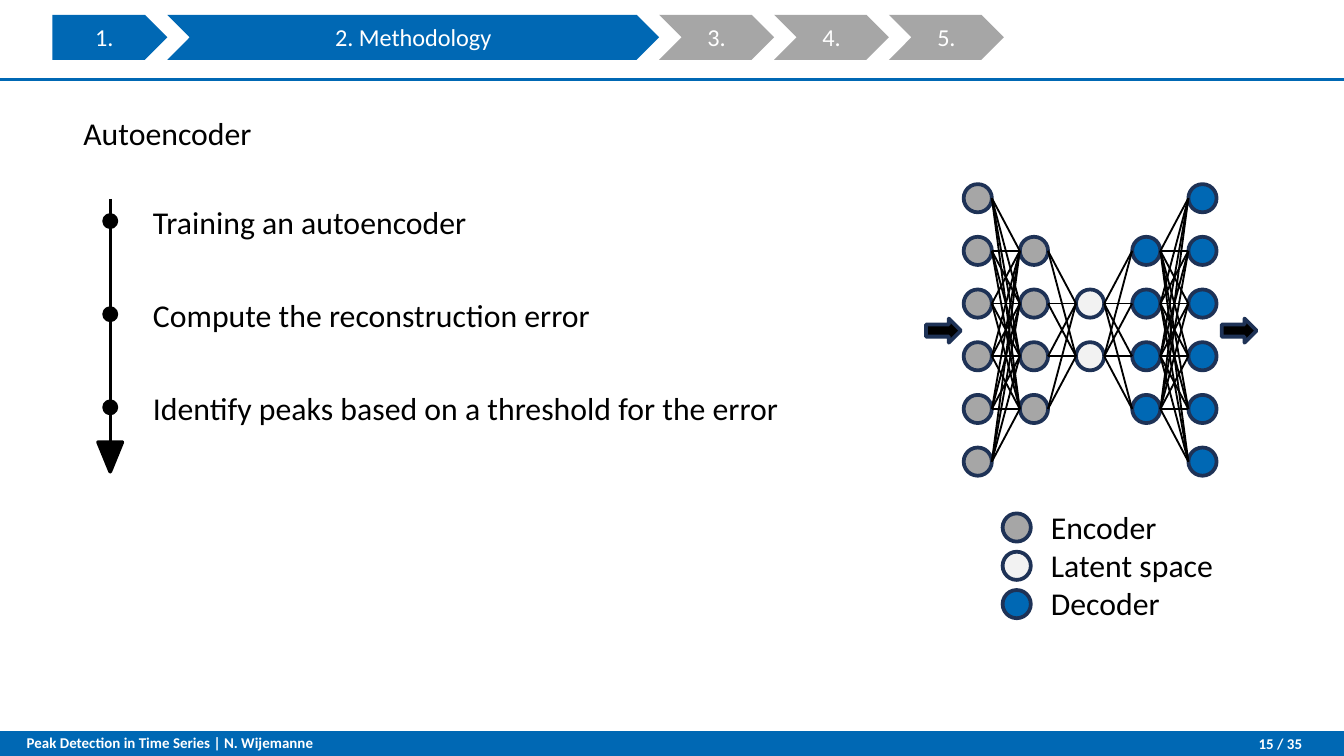
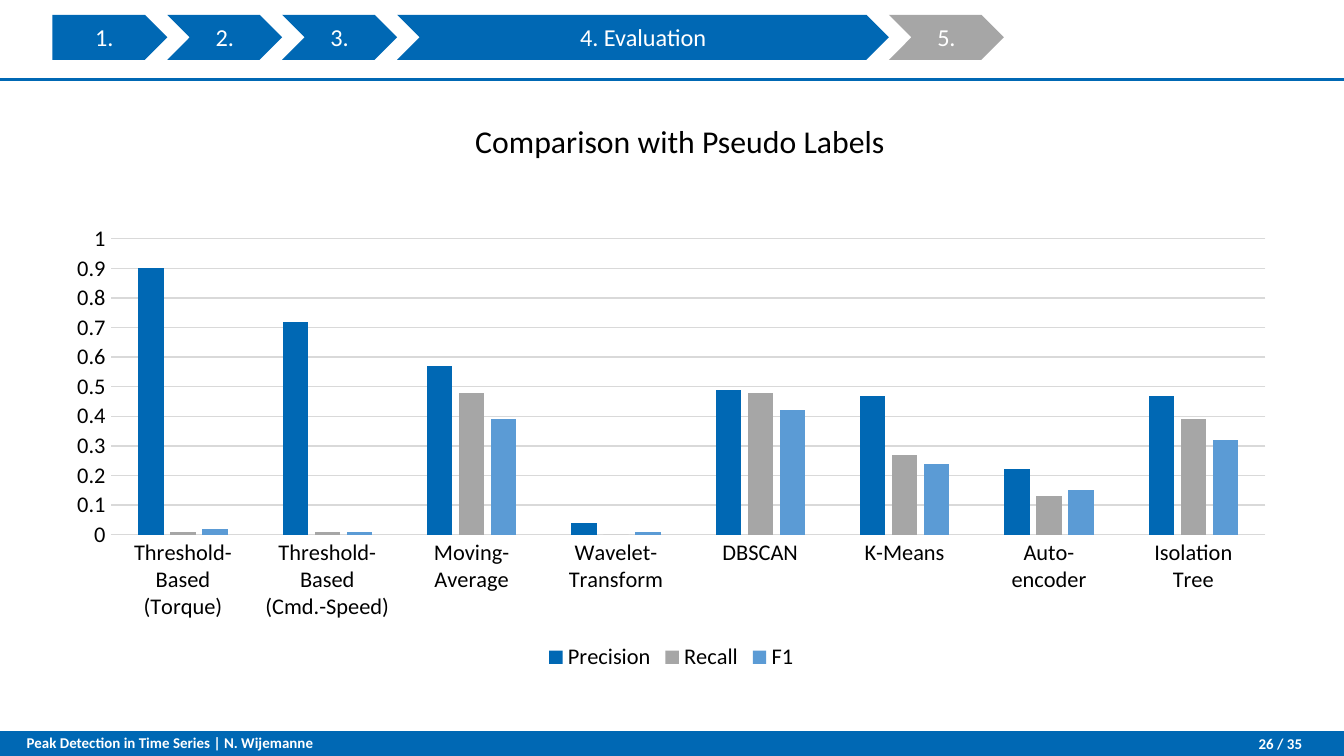
from lxml import etree
from pptx import Presentation
from pptx import util as u
from pptx.chart.data import CategoryChartData
from pptx.dml.color import RGBColor
from pptx.enum import chart as ch, shapes, text

rgb = RGBColor.from_string
KIND = shapes.MSO_SHAPE
SIDE = text.PP_ALIGN
MID, TOP = text.MSO_ANCHOR.MIDDLE, text.MSO_ANCHOR.TOP
BLUE, GREY, PALE, SKY = "0068B4", "A6A6A6", "F2F2F2", "5B9BD5"
NAVY, BLACK, WHITE, RULE = "1E3256", "000000", "FFFFFF", "D9D9D9"
FACE = "Calibri"

deck = Presentation()
deck.slide_width, deck.slide_height = u.Inches(10), u.Inches(5.625)
CELL = deck.slide_width // 100  # square grid, 100 columns wide


def write(frame, words, size=17, tone=BLACK, bold=False, align=SIDE.LEFT,
          lead=1, **form):
    frame.text = words
    base = {"word_wrap": True, "auto_size": text.MSO_AUTO_SIZE.NONE,
            "vertical_anchor": TOP}
    for key, val in (base | form).items():
        setattr(frame, key, val)
    for para in frame.paragraphs:
        for key, val in {"alignment": align, "line_spacing": lead}.items():
            setattr(para, key, val)
        for key, val in {"name": FACE, "size": u.Pt(size), "bold": bold}.items():
            setattr(para.font, key, val)
        para.font.color.rgb = rgb(tone)


def put(host, kind, box, fill=None, edge=None, wide=2, words="", **form):
    x, y, w, h = [round(v * CELL) for v in box]
    if kind == "text":
        item = host.add_textbox(x, y, w, h)
    elif kind == "line":
        item = host.add_connector(shapes.MSO_CONNECTOR.STRAIGHT,
                                  x, y, x + w, y + h)
        etree.SubElement(item._element.spPr, "{http://schemas.openxmlformats.org"
                         "/drawingml/2006/main}effectLst")
    else:
        item = host.add_shape(kind, x, y, w, h)
        item.shadow.inherit = False
        item.fill.solid()
        item.fill.fore_color.rgb = rgb(fill)
        if not edge:
            item.line.fill.background()
    if edge:
        item.line.color.rgb = rgb(edge)
        item.line.width = u.Pt(wide)
    if words:
        write(item.text_frame, words, **form)
    return item


# Shared frame: band, rule, title, section path, footer
PARTS = ["1.", "2. Methodology", "3.", "4. Evaluation", "5."]
STEP, LONG = 8.55, 36.6
pages = []
for head, now, num, align, lead in [
        ("Autoencoder", 1, 15, SIDE.LEFT, 0.95),
        ("Comparison with Pseudo Labels", 3, 26, SIDE.CENTER, 1.14)]:
    page = deck.slides.add_slide(deck.slide_layouts[5])
    pages.append(page)
    host = page.shapes
    name = host.title
    for key, val in {"left": 3.9, "top": 8.2, "width": 92.1,
                     "height": 39.8}.items():
        setattr(name, key, round(val * CELL))
    write(name.text_frame, head, align=align, lead=lead,
          margin_left=round(2.3 * CELL))

    put(host, KIND.RECTANGLE, (0, 54.4, 100, 1.85), BLUE)
    put(host, "line", (0, 5.9, 100, 0), edge=BLUE, wide=1.5)

    path = host.add_group_shape().shapes
    x = 3.9
    for i, part in enumerate(PARTS):
        put(path, KIND.CHEVRON if i else KIND.PENTAGON,
            (x, 1.1, LONG if i == now else STEP, 3.35),
            BLUE if i <= now else GREY,
            words=part if i == now else part[:2], size=13, tone=WHITE,
            align=SIDE.CENTER, vertical_anchor=MID,
            margin_left=0, margin_right=0)
        x += LONG if i == now else STEP

    put(host, "text", (1, 53.6, 43.4, 3.4), size=8, tone=WHITE, bold=True,
        words="Peak Detection in Time Series | N. Wijemanne", margin_top=CELL)
    put(host, "text", (87.5, 54.4, 9.4, 1.85), words=f"{num} / 35", size=8,
        tone=WHITE, bold=True, align=SIDE.RIGHT, vertical_anchor=MID,
        margin_right=0)

# Slide 1: steps on a time line
host = pages[0].shapes
track = host.add_group_shape().shapes
put(track, "line", (8.2, 14.8, 0, 18.1), edge=BLACK, wide=1.5)
put(track, KIND.ISOSCELES_TRIANGLE, (7.3, 32.9, 1.8, 2.2), BLACK,
    BLACK).rotation = 180
for i, step in enumerate(["Training an autoencoder",
                          "Compute the reconstruction error",
                          "Identify peaks based on a threshold for the error"]):
    put(track, KIND.OVAL, (7.75, 16 + 6.93 * i, 0.9, 0.9), BLACK, BLACK)
    put(host, "text", (10.4, 14.6 + 6.9 * i, 85.7, 3.9), words=step)

# Slide 1: network, one layer per column
DOT, GAP = 2.1, 3.92
layers = []
for col, (count, fill) in enumerate([(6, GREY), (4, GREY), (2, PALE),
                                     (4, BLUE), (6, BLUE)]):
    left = 71.7 + 4.18 * col
    tops = [23.5 + GAP * (i - (count - 1) / 2) for i in range(count)]
    layers.append((left, tops))
    for top in tops:
        put(host, KIND.OVAL, (left, top, DOT, DOT), fill, NAVY)
for (left, tops), (right, ends) in zip(layers, layers[1:]):
    for top in tops:
        for end in ends:
            put(host, "line", (left + DOT, top + DOT / 2,
                               right - left - DOT, end - top),
                edge=BLACK, wide=1)
for x in (68.9, 90.9):
    put(host, KIND.RIGHT_ARROW, (x, 23.7, 2.6, 1.8), BLACK, NAVY)

# Slide 1: key
for i, fill in enumerate([GREY, PALE, BLUE]):
    put(host, KIND.OVAL, (74.6, 38.2 + 2.85 * i, DOT, DOT), fill, NAVY)
put(host, "text", (77.2, 37.3, 20.8, 9.6),
    words="Encoder\nLatent space\nDecoder")

# Slide 2: scores by method
data = CategoryChartData()
data.categories = ["Threshold-\nBased\n(Torque)",
                   "Threshold-\nBased\n(Cmd.-Speed)", "Moving-\nAverage",
                   "Wavelet-\nTransform", "DBSCAN", "K-Means",
                   "Auto-\nencoder", "Isolation\nTree"]
scores = [
    ("Precision", BLUE, (0.9, 0.72, 0.57, 0.04, 0.49, 0.47, 0.22, 0.47)),
    ("Recall", GREY, (0.01, 0.01, 0.48, 0, 0.48, 0.27, 0.13, 0.39)),
    ("F1", SKY, (0.02, 0.01, 0.39, 0.01, 0.42, 0.24, 0.15, 0.32))]
for label, tone, vals in scores:
    data.add_series(label, vals)
box = [round(v * CELL) for v in (3.9, 16.1, 92.1, 34.2)]
plot = pages[1].shapes.add_chart(ch.XL_CHART_TYPE.COLUMN_CLUSTERED,
                                 *box, data).chart
plot.has_title = False
plot.has_legend = True
plot.legend.position = ch.XL_LEGEND_POSITION.BOTTOM
plot.legend.include_in_layout = False

bars = plot.plots[0]
for key, val in {"gap_width": 219, "overlap": -27,
                 "vary_by_categories": False}.items():
    setattr(bars, key, val)
for bar, (label, tone, vals) in zip(bars.series, scores):
    bar.format.fill.solid()
    bar.format.fill.fore_color.rgb = rgb(tone)

cats, axis = plot.category_axis, plot.value_axis
for key, val in {"minimum_scale": 0, "maximum_scale": 1, "major_unit": 0.1,
                 "has_major_gridlines": True}.items():
    setattr(axis, key, val)
for side in (cats, axis):
    side.major_tick_mark = side.minor_tick_mark = ch.XL_TICK_MARK.NONE
axis.format.line.fill.background()
for line in (cats.format.line, axis.major_gridlines.format.line):
    line.color.rgb = rgb(RULE)
    line.width = u.Pt(0.75)
for font, size in [(plot.font, 10), (plot.legend.font, 12),
                   (cats.tick_labels.font, 12), (axis.tick_labels.font, 12)]:
    font.name, font.size = FACE, u.Pt(size)
    font.color.rgb = rgb(BLACK)

deck.save("out.pptx")
